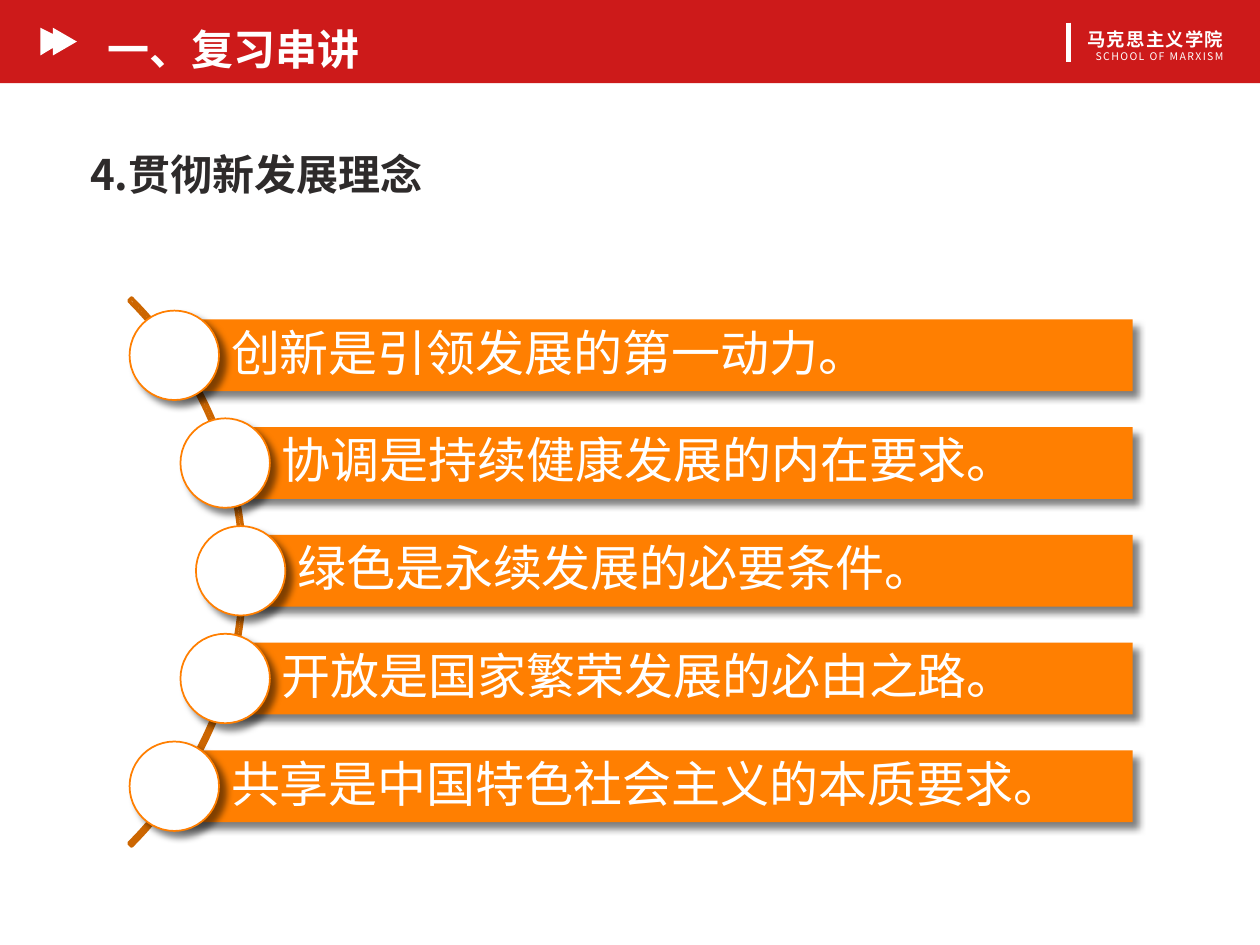
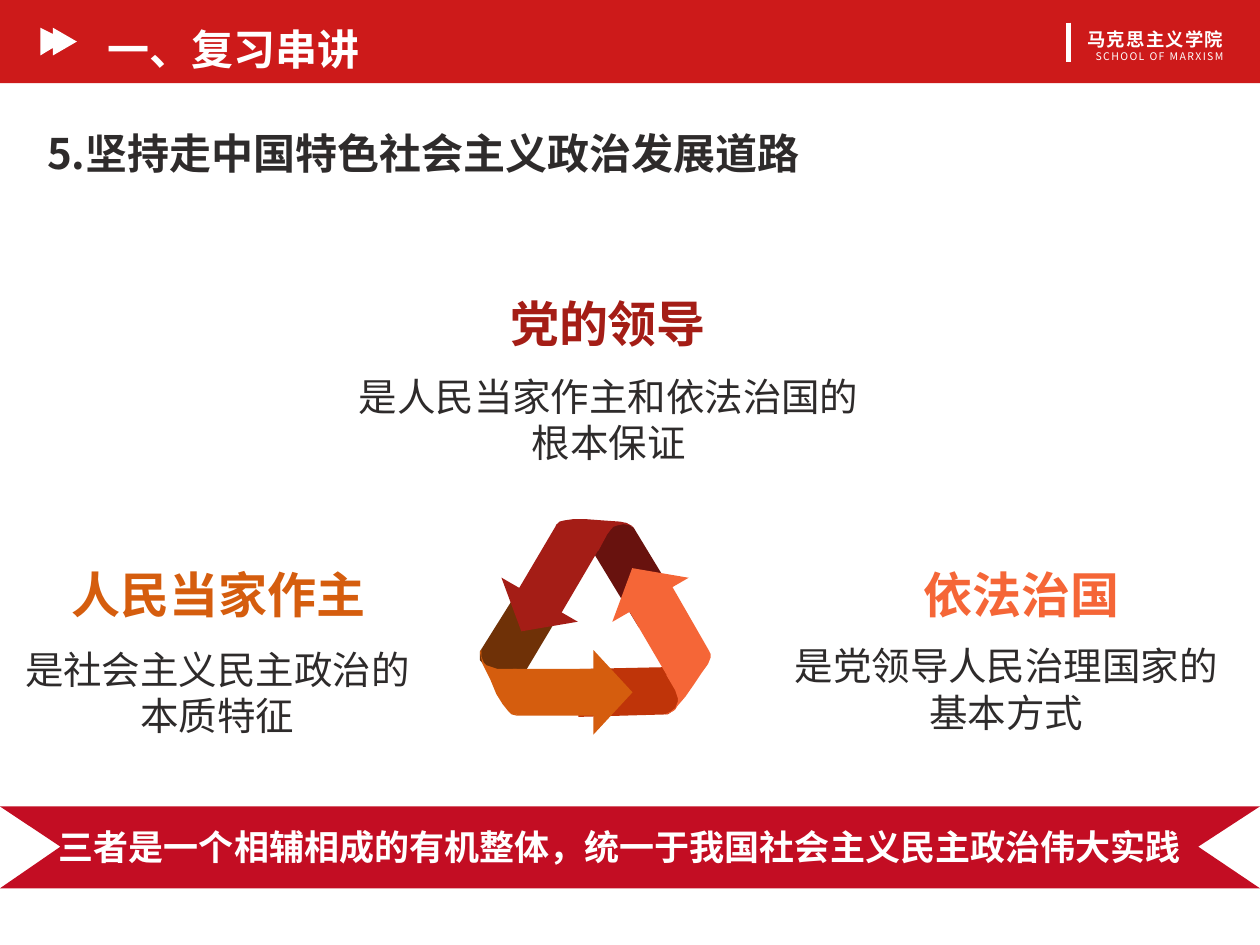
from lxml import etree
from math import sqrt
from pptx import Presentation
from pptx import util as u
from pptx.dml.color import RGBColor
from pptx.enum import shapes, text
from pptx.oxml.ns import qn

FONT = "Noto Sans CJK SC"
WHITE = RGBColor(0xFF, 0xFF, 0xFF)
INK = RGBColor(0x2E, 0x2B, 0x2B)
BAND_RED = RGBColor(0xCD, 0x1A, 0x1A)
RIBBON_RED = RGBColor(0xC3, 0x0D, 0x23)
BAR_ORANGE = RGBColor(0xFF, 0x7F, 0x01)
ARC_BROWN = RGBColor(0xCC, 0x66, 0x01)
PARTY_RED = RGBColor(0xA4, 0x1D, 0x16)
PARTY_FOLD = RGBColor(0x68, 0x12, 0x0E)
LAW_ORANGE = RGBColor(0xF5, 0x66, 0x37)
LAW_FOLD = RGBColor(0xBF, 0x34, 0x09)
PEOPLE_ORANGE = RGBColor(0xD5, 0x5D, 0x0E)
PEOPLE_FOLD = RGBColor(0x6F, 0x31, 0x07)

SLIDE_W, SLIDE_H = u.Inches(10), u.Inches(7.5)
COL, ROW = SLIDE_W / 10, SLIDE_H / 7.5
LEFT, CENTER, RIGHT = text.PP_ALIGN.LEFT, text.PP_ALIGN.CENTER, text.PP_ALIGN.RIGHT
TOP, MIDDLE = text.MSO_ANCHOR.TOP, text.MSO_ANCHOR.MIDDLE
PRESET = shapes.MSO_SHAPE

CONCEPTS = [
    "创新是引领发展的第一动力。",
    "协调是持续健康发展的内在要求。",
    "绿色是永续发展的必要条件。",
    "开放是国家繁荣发展的必由之路。",
    "共享是中国特色社会主义的本质要求。",
]

PILLARS = [
    ("党的领导", PARTY_RED, (3.94, 2.28, 1.77, 0.57),
     "是人民当家作主和依法治国的根本保证", (2.74, 2.91, 4.18, 0.84)),
    ("人民当家作主", PEOPLE_ORANGE, (0.46, 4.43, 2.55, 0.57),
     "是社会主义民主政治的本质特征", (0.01, 5.08, 3.43, 0.84)),
    ("依法治国", LAW_ORANGE, (7.22, 4.43, 1.77, 0.57),
     "是党领导人民治理国家的基本方式", (6.11, 5.05, 3.75, 0.84)),
]

FORWARD_MARK = [(32, 22), (42, 27), (42, 22), (61, 33), (42, 44), (42, 38), (32, 44)]
RIBBON = [(0, 640), (1000, 640), (951, 672), (1000, 705), (0, 705), (48, 672)]

FOLDS = [
    (PEOPLE_FOLD, [(451, 476), (405, 553), (381, 524), (381, 517), (418, 458)]),
    (PARTY_FOLD, [(507, 498), (459, 419), (497, 415), (503, 419), (540, 480)]),
    (LAW_FOLD, [(460, 531), (552, 529), (536, 563), (530, 567), (459, 569)]),
]

ARROWS = [
    (PARTY_RED, (3.86, 4.74, 0.7, 0.29), 210,
     [(440, 496), (477, 433), (459, 423), (442, 416), (406, 477)],
     [(475, 437), (441, 417), (444, 414), (448, 413), (455, 412), (465, 412),
      (478, 413), (492, 414), (497, 415), (501, 417), (503, 419), (500, 417),
      (495, 416), (490, 417), (487, 418), (485, 420), (482, 424)]),
    (LAW_ORANGE, (4.74, 4.49, 0.7, 0.29), 330,
     [(494, 476), (531, 539), (548, 529), (563, 517), (528, 456)],
     [(529, 536), (563, 517), (564, 519), (564, 522), (562, 527), (557, 534),
      (551, 543), (544, 553), (538, 560), (535, 564), (531, 566), (528, 567),
      (532, 565), (536, 562), (538, 557), (538, 554), (536, 548)]),
    (PEOPLE_ORANGE, (4.53, 5.34, 0.67, 0.31), 90,
     [(484, 531), (407, 531), (407, 550), (410, 568), (484, 568)],
     [(410, 531), (410, 568), (406, 567), (403, 564), (399, 559), (394, 551),
      (389, 539), (383, 527), (381, 518), (382, 515), (382, 521), (384, 526),
      (386, 528), (389, 529), (395, 531)]),
]


def place(left, top, width, height):
    return [int(n) for n in (left * COL, top * ROW, width * COL, height * ROW)]


def add_run(paragraph, words, size, color, bold=False, spacing=None):
    run = paragraph.add_run()
    run.text = words
    run.font.size = u.Pt(size)
    run.font.bold = bold
    run.font.color.rgb = color
    run.font.name = FONT
    props = run.font._element
    east_asian = etree.Element(qn("a:ea"), typeface=FONT)
    props.find(qn("a:latin")).addnext(east_asian)
    if spacing:
        props.set("spc", str(int(spacing * 100)))


def set_frame(frame, anchor=TOP, wrap=True, insets=(0.1, 0.05, 0.1, 0.05)):
    frame.word_wrap = wrap
    frame.auto_size = text.MSO_AUTO_SIZE.NONE
    frame.vertical_anchor = anchor
    (frame.margin_left, frame.margin_top,
     frame.margin_right, frame.margin_bottom) = [u.Inches(n) for n in insets]
    return frame


def add_label(slide, words, area, size, color, bold=False, anchor=TOP, wrap=True):
    frame = set_frame(slide.shapes.add_textbox(*place(*area)).text_frame, anchor, wrap)
    frame.paragraphs[0].alignment = CENTER
    add_run(frame.paragraphs[0], words, size, color, bold)


def paint(shape, fill=None, line=None, width=1):
    shape.shadow.inherit = False
    if fill is None:
        shape.fill.background()
    else:
        shape.fill.solid()
        shape.fill.fore_color.rgb = fill
    if line is None:
        shape.line.fill.background()
    else:
        shape.line.color.rgb = line
        shape.line.width = u.Pt(width)
    return shape


def add_preset(slide, preset, area, **look):
    return paint(slide.shapes.add_shape(preset, *place(*area)), **look)


def add_outline(slide, points, fill):
    builder = slide.shapes.build_freeform(*points[0], scale=COL / 100)
    builder.add_line_segments(points[1:], close=True)
    return paint(builder.convert_to_shape(), fill)


def cast_shadow(shape):
    effects = shape.element.spPr.find(qn("a:effectLst"))
    outer = etree.SubElement(effects, qn("a:outerShdw"), blurRad=str(u.Pt(4)),
                             dist=str(u.Pt(5)), dir="2700000", algn="tl", rotWithShape="0")
    black = etree.SubElement(outer, qn("a:srgbClr"), val="000000")
    etree.SubElement(black, qn("a:alpha"), val="50000")


def add_school_sign(slide):
    sign = slide.shapes.add_textbox(*place(7.52, 0.18, 2.28, 0.36))
    frame = set_frame(sign.text_frame, insets=(0.09, 0.04, 0.09, 0.04))
    school, translation = frame.paragraphs[0], frame.add_paragraph()
    school.alignment = translation.alignment = RIGHT
    add_run(school, "马克思主义学院", 10.5, WHITE, True, spacing=0.8)
    add_run(translation, "SCHOOL OF MARXISM", 6, WHITE, spacing=0.8)
    x, top, _, height = place(8.48, 0.18, 0, 0.31)
    divider = slide.shapes.add_connector(shapes.MSO_CONNECTOR.STRAIGHT, x, top, x, top + height)
    divider.line.color.rgb = WHITE
    divider.line.width = u.Pt(3)
    etree.SubElement(divider.element.spPr, qn("a:effectLst"))


def add_lesson_slide(deck, section, topic, topic_area):
    slide = deck.slides.add_slide(deck.slide_layouts[5])
    heading = slide.shapes.title
    heading.left, heading.top, heading.width, heading.height = place(0.75, 0.02, 7.91, 0.57)
    paragraph = set_frame(heading.text_frame).paragraphs[0]
    paragraph.alignment = LEFT
    paragraph.line_spacing = 1.3
    add_run(paragraph, section, 24, WHITE, True)
    band = add_preset(slide, PRESET.RECTANGLE, (0, 0, 10, 0.66), fill=BAND_RED)
    heading.element.addprevious(band.element)
    add_outline(slide, FORWARD_MARK, WHITE)
    add_school_sign(slide)
    add_label(slide, topic, topic_area, 24, INK, True, MIDDLE)
    return slide


def add_concept_arc(slide):
    arc_x, arc_y, arc_size = -1.13, 4.54, 6.15
    arc = add_preset(slide, PRESET.BLOCK_ARC,
                     (arc_x - arc_size / 2, arc_y - arc_size / 2, arc_size, arc_size),
                     line=ARC_BROWN, width=2)
    for index, setting in enumerate((189, 27, 0.005)):
        arc.adjustments[index] = setting

    step, bar_height, bar_end, dot, dot_orbit = 0.855, 0.57, 8.99, 0.71, 3.04
    for index, concept in enumerate(CONCEPTS):
        rise = (index - len(CONCEPTS) // 2) * step
        x, y = arc_x + sqrt(dot_orbit ** 2 - rise ** 2), arc_y - 0.01 + rise
        bar = add_preset(slide, PRESET.RECTANGLE,
                         (x, y - bar_height / 2, bar_end - x, bar_height), fill=BAR_ORANGE)
        cast_shadow(bar)
        frame = set_frame(bar.text_frame, MIDDLE, insets=(0.45, 0.08, 0.08, 0.08))
        frame.paragraphs[0].alignment = LEFT
        frame.paragraphs[0].line_spacing = 0.9
        add_run(frame.paragraphs[0], concept, 28, WHITE)
        cast_shadow(add_preset(slide, PRESET.OVAL, (x - dot / 2, y - dot / 2, dot, dot),
                               fill=WHITE, line=BAR_ORANGE))


def add_arrow_cycle(slide):
    for tone, fold in FOLDS:
        add_outline(slide, fold, tone)
    for tone, head_area, turn, shaft, bend in ARROWS:
        head = add_preset(slide, PRESET.ISOSCELES_TRIANGLE, head_area, fill=tone)
        head.rotation = turn
        add_outline(slide, shaft, tone)
        add_outline(slide, bend, tone)


def main():
    deck = Presentation()
    deck.slide_width, deck.slide_height = SLIDE_W, SLIDE_H
    section = "一、复习串讲"

    concepts = add_lesson_slide(deck, section, "4.贯彻新发展理念", (-0.39, 1.13, 4.85, 0.5))
    add_concept_arc(concepts)

    politics = add_lesson_slide(deck, section, "5.坚持走中国特色社会主义政治发展道路",
                                (0, 0.96, 6.72, 0.5))
    for pillar, tone, pillar_area, role, role_area in PILLARS:
        add_label(politics, role, role_area, 22, INK)
        add_label(politics, pillar, pillar_area, 28, tone, True, wrap=False)
    add_outline(politics, RIBBON, RIBBON_RED)
    add_label(politics, "三者是一个相辅相成的有机整体，统一于我国社会主义民主政治伟大实践",
              (-0.08, 6.5, 10, 0.44), 20, WHITE, True)
    add_arrow_cycle(politics)

    deck.save("out.pptx")


if __name__ == "__main__":
    main()
